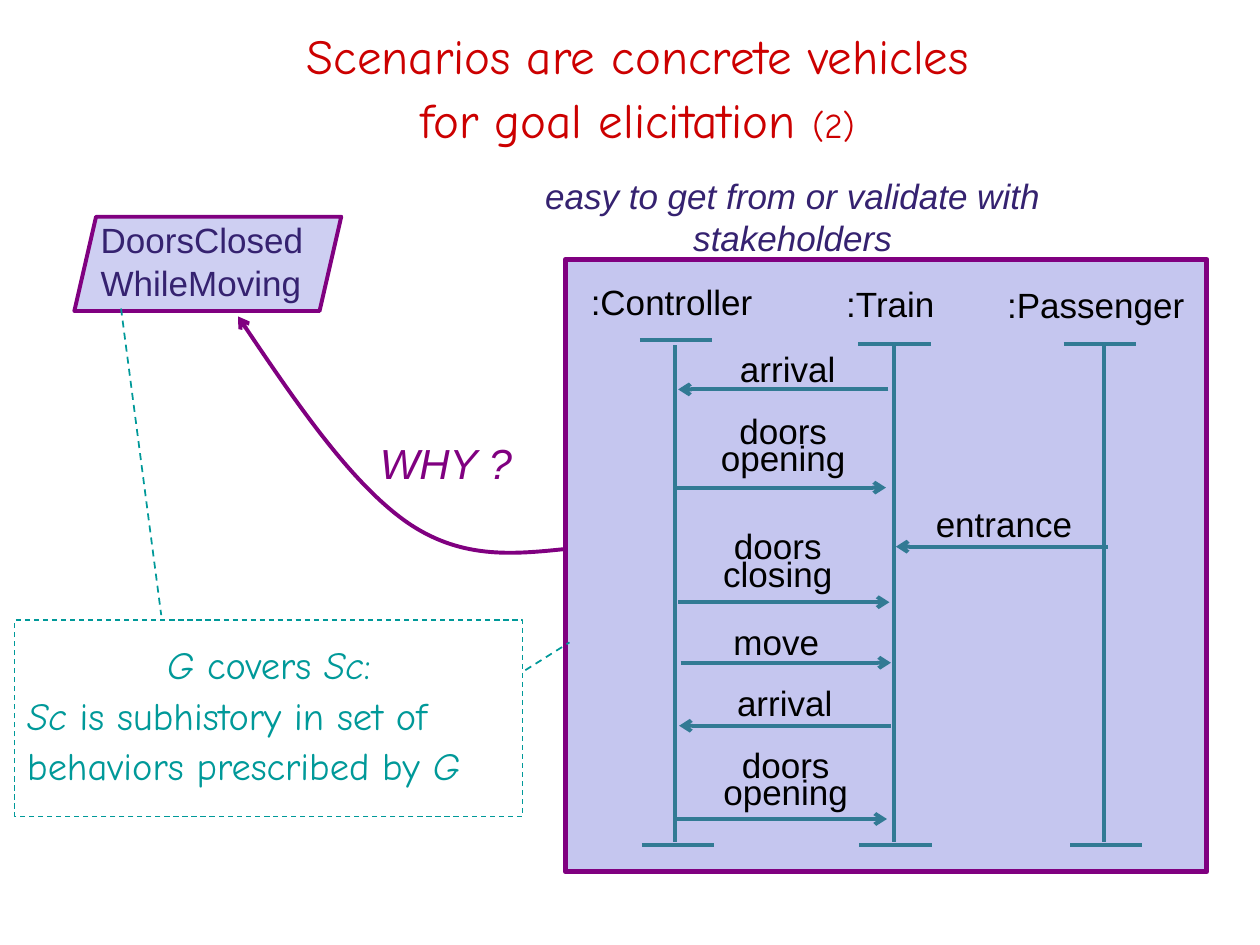
from lxml.etree import SubElement
from pptx import Presentation
from pptx.dml.color import RGBColor
from pptx.enum.dml import MSO_LINE
from pptx.enum.shapes import MSO_CONNECTOR, MSO_SHAPE
from pptx.enum.text import MSO_ANCHOR, PP_ALIGN
from pptx.oxml.ns import qn
from pptx.util import Cm, Pt

RED = RGBColor(0xCC, 0x00, 0x00)
PURPLE = RGBColor(0x80, 0x00, 0x80)
INDIGO = RGBColor(0x35, 0x22, 0x70)
LAVENDER = RGBColor(0xC5, 0xC6, 0xEF)
PALE_LAVENDER = RGBColor(0xCE, 0xCF, 0xF2)
STEEL = RGBColor(0x32, 0x7A, 0x94)
TEAL = RGBColor(0x00, 0x99, 0x99)
BLACK = RGBColor(0x00, 0x00, 0x00)

prs = Presentation()
prs.slide_width, prs.slide_height = Cm(25.4), Cm(19.05)
s = prs.slides.add_slide(prs.slide_layouts[6])


def add_line(x1, y1, x2, y2, color=STEEL, width=2.25, arrow=False, dashed=False):
    """Draw a straight line in cm; the arrowhead sits at (x2, y2)."""
    line = s.shapes.add_connector(MSO_CONNECTOR.STRAIGHT, Cm(x1), Cm(y1), Cm(x2), Cm(y2))
    line.line.color.rgb = color
    line.line.width = Pt(width)
    if dashed:
        line.line.dash_style = MSO_LINE.DASH
    spPr = line._element.spPr
    if arrow:
        SubElement(spPr.find(qn("a:ln")), qn("a:tailEnd"), type="arrow")
    SubElement(spPr, qn("a:effectLst"))


def add_label(text, cx, cy, w, h, size=20, color=BLACK, italic=False, wrap=False):
    """Centre text on (cx, cy) in cm; lines after the first are set tight."""
    box = s.shapes.add_textbox(Cm(cx - w / 2), Cm(cy - h / 2), Cm(w), Cm(h))
    tf = box.text_frame
    tf.margin_left = tf.margin_right = tf.margin_top = tf.margin_bottom = 0
    tf.word_wrap = wrap
    tf.vertical_anchor = MSO_ANCHOR.MIDDLE
    tf.text = text
    for i, p in enumerate(tf.paragraphs):
        p.alignment = PP_ALIGN.CENTER
        if i:
            p.line_spacing = 0.6
        p.font.name, p.font.size, p.font.italic = "Arial", Pt(size), italic
        p.font.color.rgb = color


# Sequence diagram
frame = s.shapes.add_shape(MSO_SHAPE.RECTANGLE, Cm(11.4), Cm(5.23), Cm(12.93), Cm(12.34))
frame.shadow.inherit = False
frame.fill.solid()
frame.fill.fore_color.rgb = LAVENDER
frame.line.color.rgb = PURPLE
frame.line.width = Pt(3)

# name, label centre and width, lifeline x, top bar centre, bottom bar x
participants = [
    (":Controller", 13.54, 6.08, 3.76, 13.61, 13.63, 6.86, 13.67),
    (":Train", 17.95, 6.12, 2.31, 18.03, 18.03, 6.93, 18.05),
    (":Passenger", 22.09, 6.13, 4.09, 22.25, 22.17, 6.93, 22.3),
]
HALF_BAR = 0.73
for name, cx, cy, w, x, top_x, top_y, bottom_x in participants:
    add_label(name, cx, cy, w, 1.09)
    add_line(x, 6.96, x, 16.97)
    add_line(top_x - HALF_BAR, top_y, top_x + HALF_BAR, top_y)
    add_line(bottom_x - HALF_BAR, 17.04, bottom_x + HALF_BAR, 17.04)

# text, arrow from x to x at y, label centre and width
messages = [
    ("arrival", 17.91, 13.67, 7.85, 15.88, 7.43, 2.44),
    ("doors\nopening", 13.59, 17.86, 9.83, 15.79, 8.93, 3.02),
    ("entrance", 22.33, 18.06, 11.02, 20.24, 10.55, 3.25),
    ("doors\nclosing", 13.67, 17.93, 12.14, 15.68, 11.26, 2.72),
    ("move", 13.72, 17.96, 13.36, 15.65, 12.94, 2.24),
    ("arrival", 17.96, 13.69, 14.63, 15.82, 14.16, 2.44),
    ("doors\nopening", 13.64, 17.88, 16.51, 15.84, 15.66, 3.02),
]
for text, x1, x2, y, cx, cy, w in messages:
    add_line(x1, y, x2, y, arrow=True)
    add_label(text, cx, cy, w, 1.6 if "\n" in text else 1.09)

# Title
title = s.shapes.add_textbox(Cm(0.84), Cm(0.64), Cm(24.03), Cm(2.11))
tf = title.text_frame
tf.word_wrap = True
tf.vertical_anchor = MSO_ANCHOR.MIDDLE
p = tf.paragraphs[0]
p.text = "Scenarios are concrete vehicles\vfor goal elicitation "
p.alignment = PP_ALIGN.CENTER
p.line_spacing = 1.1
p.add_run().text = "(2)"
for r in p.runs:
    r.font.name, r.font.size = "Comic Neue", Pt(28)
    r.font.color.rgb = RED
p.runs[-1].font.size = Pt(20)

# Coverage note
note = s.shapes.add_shape(MSO_SHAPE.RECTANGLE, Cm(0.3), Cm(12.5), Cm(10.24), Cm(3.96))
note.shadow.inherit = False
note.fill.background()
note.line.color.rgb = TEAL
note.line.width = Pt(0.75)
note.line.dash_style = MSO_LINE.DASH
tf = note.text_frame
tf.vertical_anchor = MSO_ANCHOR.MIDDLE
# each run is (text, italic)
note_lines = [
    [("G ", True), ("covers ", False), ("Sc", True), (":", False)],
    [("Sc", True), (" is subhistory in set of", False)],
    [("behaviors prescribed by", False), (" G", True)],
]
for i, runs in enumerate(note_lines):
    p = tf.add_paragraph() if i else tf.paragraphs[0]
    p.alignment = PP_ALIGN.LEFT if i else PP_ALIGN.CENTER
    p.line_spacing = 0.7 if i else 0.8
    if i:
        p.space_before = Pt(10)
    for text, italic in runs:
        r = p.add_run()
        r.text = text
        r.font.name, r.font.size, r.font.italic = "Comic Neue", Pt(22), italic
        r.font.color.rgb = TEAL

# WHY arrow: two Bezier segments from the diagram up to the goal
why_points = [(10.31, 11.18), (9.25, 11.28), (8.15, 10.49),
              (7.06, 9.7), (5.92, 8.05), (4.8, 6.38)]
builder = s.shapes.build_freeform(Cm(11.38), Cm(11.07))
builder.add_line_segments([(Cm(x), Cm(y)) for x, y in why_points], close=False)
why = builder.convert_to_shape()
why.shadow.inherit = False
why.fill.background()
why.line.color.rgb = PURPLE
why.line.width = Pt(2.25)
SubElement(why._element.spPr.find(qn("a:ln")), qn("a:tailEnd"), type="arrow")
outline = why._element.find(".//" + qn("a:path"))
segments = outline.findall(qn("a:lnTo"))
for i in (0, 3):
    curve = SubElement(outline, qn("a:cubicBezTo"))
    for segment in segments[i:i + 3]:
        curve.append(segment[0])
        outline.remove(segment)
add_label("WHY ?", 8.99, 9.32, 3.2, 1.27, size=24, color=PURPLE, italic=True)

# Goal
goal = s.shapes.add_shape(MSO_SHAPE.PARALLELOGRAM, Cm(1.5), Cm(4.37), Cm(5.38), Cm(1.9))
goal.adjustments[0] = 0.23
goal.shadow.inherit = False
goal.fill.solid()
goal.fill.fore_color.rgb = PALE_LAVENDER
goal.line.color.rgb = PURPLE
goal.line.width = Pt(2.25)
tf = s.shapes.add_textbox(Cm(1.78), Cm(4.29), Cm(5.08), Cm(1.9)).text_frame
tf.word_wrap = True
tf.text = "DoorsClosed\nWhileMoving"
for p in tf.paragraphs:
    p.font.name, p.font.size = "Arial", Pt(20)
    p.font.color.rgb = INDIGO

# Links from the note to the goal and the diagram
add_line(2.44, 6.22, 3.25, 12.4, color=TEAL, width=1, dashed=True)
add_line(10.59, 13.51, 11.48, 12.95, color=TEAL, width=1, dashed=True)

add_label("easy to get from or validate with stakeholders", 15.98, 4.37, 10.46, 1.7,
          color=INDIGO, italic=True, wrap=True)

prs.save("out.pptx")
